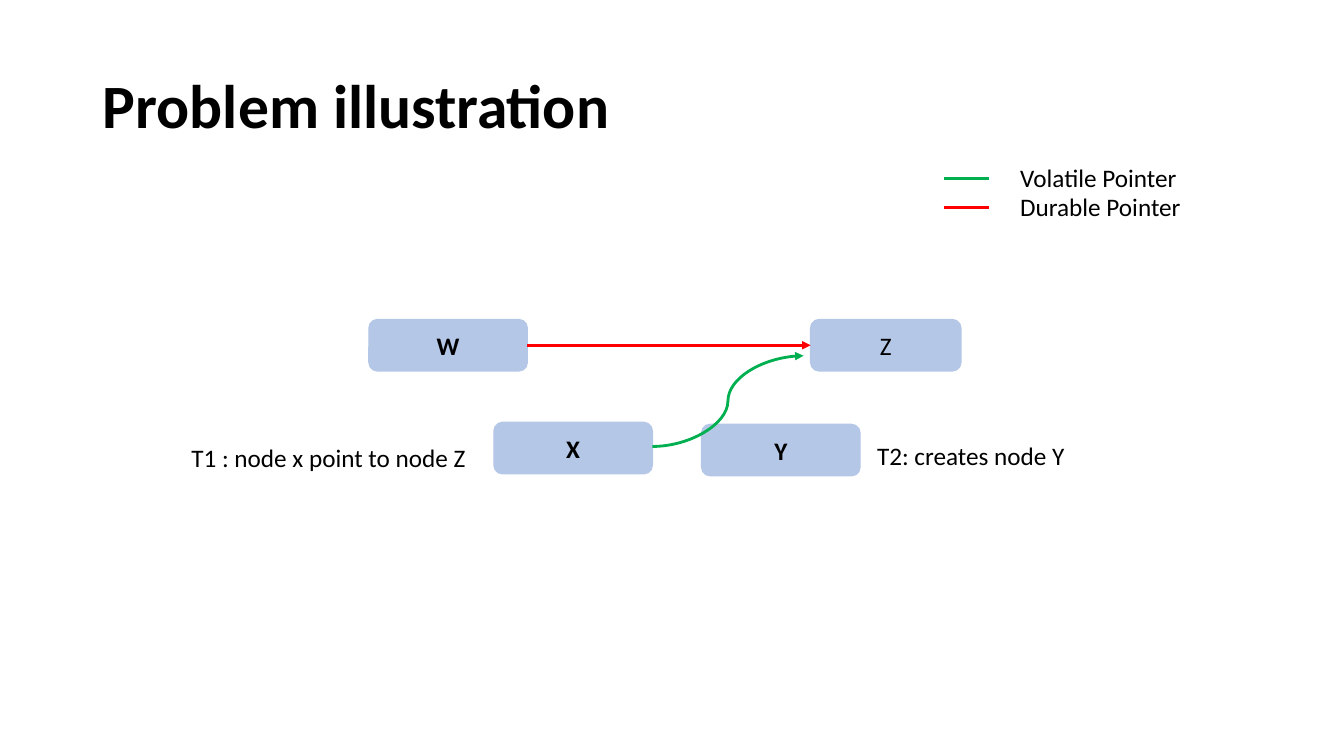
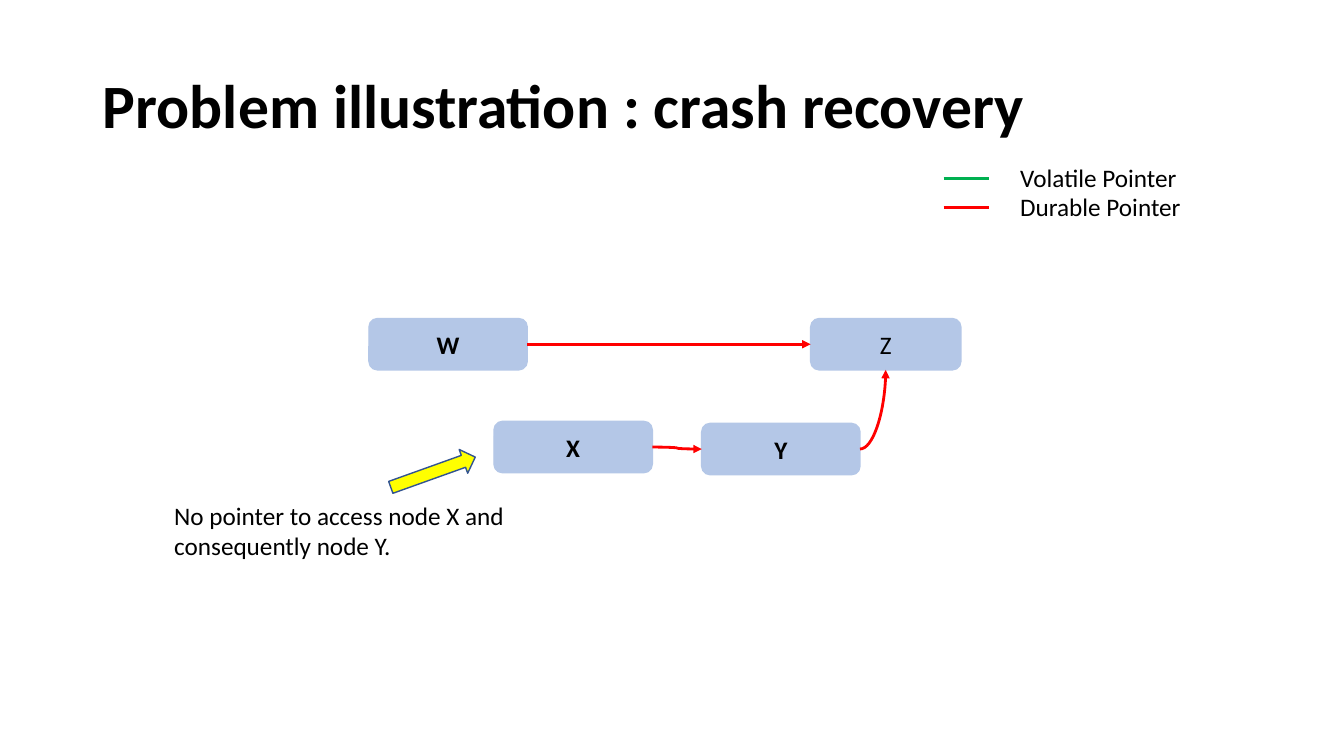
from pptx import Presentation
from pptx.dml.color import RGBColor
from pptx.enum.shapes import MSO_CONNECTOR, MSO_SHAPE
from pptx.enum.text import MSO_ANCHOR, PP_ALIGN
from pptx.oxml.ns import qn
from pptx.util import Inches, Pt
from lxml import etree

STRAIGHT, CURVE = MSO_CONNECTOR.STRAIGHT, MSO_CONNECTOR.CURVE
ROUNDED, UP_ARROW = MSO_SHAPE.ROUNDED_RECTANGLE, MSO_SHAPE.UP_ARROW
LEFT, CENTER = PP_ALIGN.LEFT, PP_ALIGN.CENTER
TOP, MIDDLE = MSO_ANCHOR.TOP, MSO_ANCHOR.MIDDLE
BOTTOM_SITE, LEFT_SITE, RIGHT_SITE = 2, 1, 3

FONT = "Calibri"
BLACK = RGBColor(0x00, 0x00, 0x00)
NODE_BLUE = RGBColor(0xB4, 0xC7, 0xE7)
DURABLE_RED = RGBColor(0xFF, 0x00, 0x00)
VOLATILE_GREEN = RGBColor(0x00, 0xB0, 0x50)
CALLOUT_YELLOW = RGBColor(0xFF, 0xFF, 0x00)
CALLOUT_EDGE = RGBColor(0x32, 0x54, 0x91)

NODE_HEIGHT = 0.51
# label: left, offset below the top row, width, bold
NODES = {
    "W": (3.66, 0, 1.57, True),
    "Z": (8.04, 0, 1.49, False),
    "X": (4.9, 1.02, 1.57, True),
    "Y": (6.96, 1.04, 1.57, True),
}
LEGEND = [
    ("Volatile Pointer", VOLATILE_GREEN, 1.79),
    ("Durable Pointer", DURABLE_RED, 1.86),
]
LEGEND_TOP, LEGEND_STEP = 1.77, 0.29


def write(frame, text, size=18, bold=False, align=LEFT, anchor=TOP, wrap=True, spacing=1.0):
    frame.word_wrap = wrap
    frame.vertical_anchor = anchor
    paragraph = frame.paragraphs[0]
    paragraph.alignment = align
    paragraph.line_spacing = spacing
    run = paragraph.add_run()
    run.text = text
    run.font.name = FONT
    run.font.size = Pt(size)
    run.font.bold = bold
    run.font.color.rgb = BLACK


def add_label(slide, text, left, top, width, height=0.4, wrap=False):
    label = slide.shapes.add_textbox(Inches(left), Inches(top), Inches(width), Inches(height))
    write(label.text_frame, text, wrap=wrap)


def add_filled(slide, preset, left, top, width, height, fill, edge):
    shape = slide.shapes.add_shape(
        preset, Inches(left), Inches(top), Inches(width), Inches(height))
    shape.shadow.inherit = False
    shape.fill.solid()
    shape.fill.fore_color.rgb = fill
    shape.line.color.rgb = edge
    shape.line.width = Pt(1)
    return shape


def add_line(slide, color, start=(0, 0), end=(0, 0), kind=STRAIGHT, width=2, arrow=False):
    line = slide.shapes.add_connector(kind, *(Inches(value) for value in (*start, *end)))
    line.line.color.rgb = color
    line.line.width = Pt(width)
    properties = line._element.spPr
    if arrow:
        etree.SubElement(properties.find(qn("a:ln")), qn("a:tailEnd"), type="triangle")
    etree.SubElement(properties, qn("a:effectLst"))
    return line


def link(slide, source, target, target_site=LEFT_SITE, kind=STRAIGHT):
    """Durable pointer from the right side of one node to another node."""
    pointer = add_line(slide, DURABLE_RED, kind=kind, arrow=True)
    pointer.begin_connect(source, RIGHT_SITE)
    pointer.end_connect(target, target_site)
    return pointer


def add_nodes(slide, top):
    """Draw the four nodes and the pointer W to Z; return the nodes by label."""
    nodes = {}
    for label, (left, offset, width, bold) in NODES.items():
        node = add_filled(slide, ROUNDED, left, top + offset, width, NODE_HEIGHT,
                          NODE_BLUE, NODE_BLUE)
        write(node.text_frame, label, bold=bold, align=CENTER, anchor=MIDDLE)
        nodes[label] = node
    link(slide, nodes["W"], nodes["Z"])
    return nodes


def add_legend(slide):
    for row, (text, color, width) in enumerate(LEGEND):
        y = LEGEND_TOP + row * LEGEND_STEP
        add_line(slide, color, (9.36, y), (9.81, y), width=2.5)
        add_label(slide, text, 10.02, y - 0.21, width)


def add_titled_slide(prs, text):
    slide = prs.slides.add_slide(prs.slide_layouts[5])
    title = slide.shapes.title
    title.left, title.top = Inches(0.92), Inches(0.4)
    title.width, title.height = Inches(11.5), Inches(1.36)
    write(title.text_frame, text, size=44, bold=True, anchor=MIDDLE, spacing=0.9)
    add_legend(slide)
    return slide


def build_problem(prs):
    slide = add_titled_slide(prs, "Problem illustration")
    add_nodes(slide, 3.17)
    add_line(slide, VOLATILE_GREEN, (6.47, 4.43), (7.97, 3.53), kind=CURVE, arrow=True)
    add_label(slide, "T1 : node x point to node Z", 1.8, 4.34, 3.03)
    add_label(slide, "T2: creates node Y", 8.6, 4.32, 2.18)


def build_recovery(prs):
    slide = add_titled_slide(prs, "Problem illustration : crash recovery")
    nodes = add_nodes(slide, 3.16)
    link(slide, nodes["X"], nodes["Y"], kind=CURVE)
    bend = link(slide, nodes["Y"], nodes["Z"], BOTTOM_SITE, CURVE)
    bend._element.spPr.find(qn("a:prstGeom")).set("prst", "curvedConnector2")
    add_label(slide, "No pointer to access node X and consequently node Y.",
              1.63, 4.91, 4.74, 0.71, wrap=True)
    callout = add_filled(slide, UP_ARROW, 4.17, 4.24, 0.25, 0.89, CALLOUT_YELLOW, CALLOUT_EDGE)
    callout.rotation = 70.3


def main():
    prs = Presentation()
    prs.slide_width, prs.slide_height = Inches(13.33), Inches(7.5)
    build_problem(prs)
    build_recovery(prs)
    prs.save("out.pptx")


if __name__ == "__main__":
    main()
